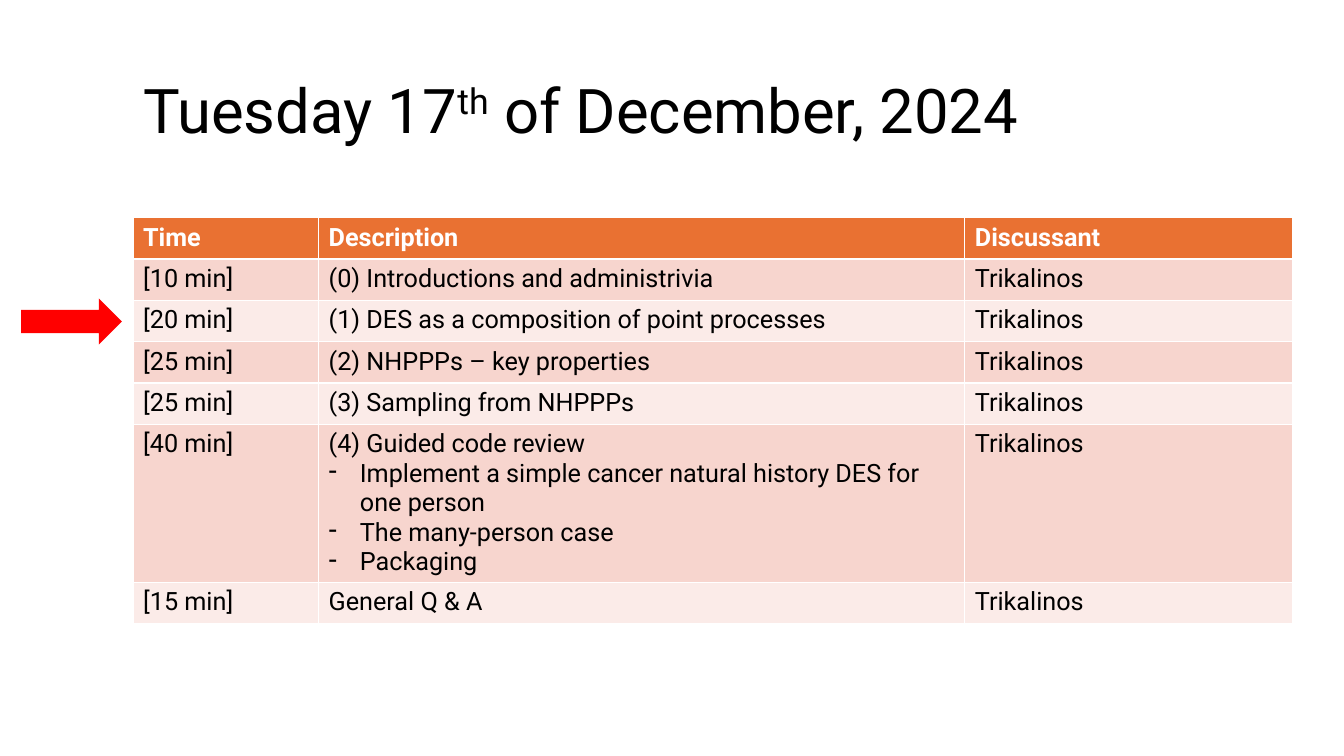
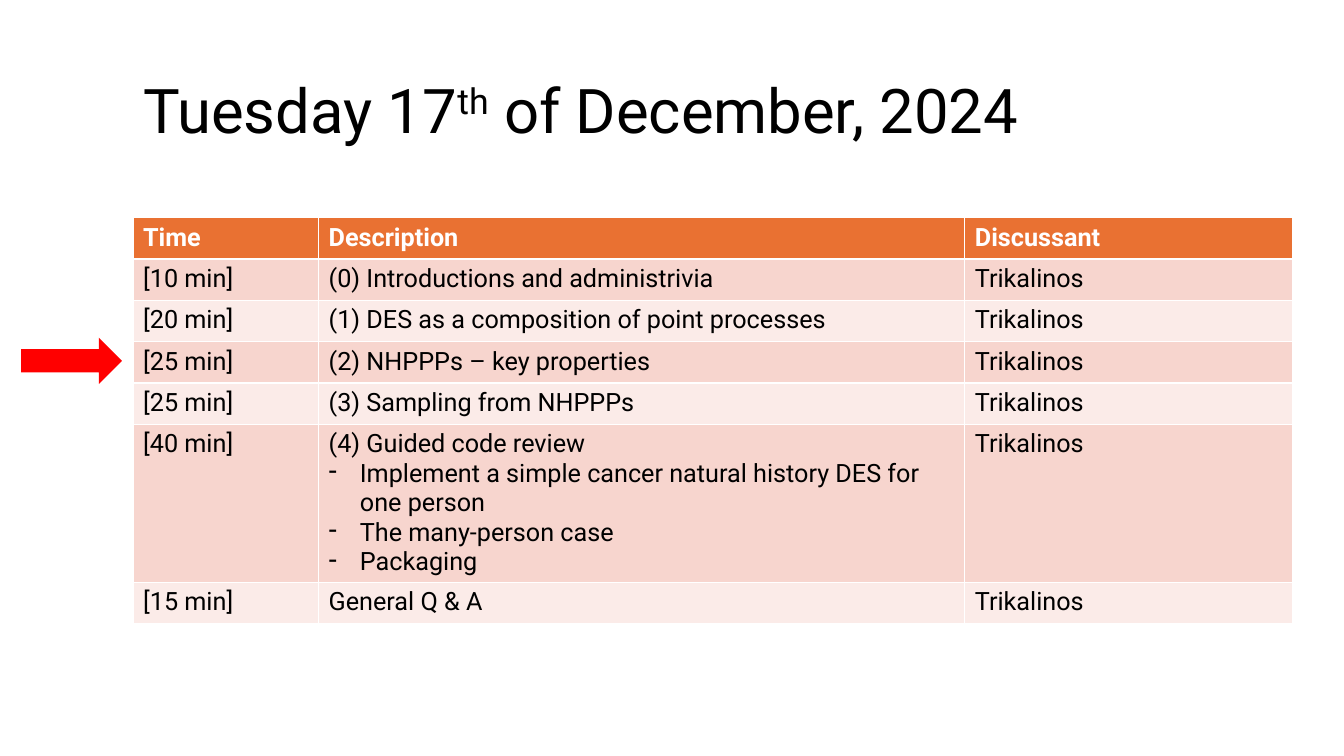
from dataclasses import dataclass

from lxml import etree
from pptx import Presentation
from pptx import util as u
from pptx.dml.color import RGBColor
from pptx.enum import shapes, text
from pptx.oxml.ns import qn


@dataclass(frozen=True)
class Theme:
    font: str = "Roboto"
    title_size: int = 44
    table_size: int = 18
    ink: RGBColor = RGBColor.from_string("000000")
    header_ink: RGBColor = RGBColor.from_string("FFFFFF")
    header_fill: RGBColor = RGBColor.from_string("E97132")
    band_fills: tuple = (RGBColor.from_string("F7D5CE"), RGBColor.from_string("FBEBE8"))
    marker: RGBColor = RGBColor.from_string("FF0000")


THEME = Theme()
PX = u.Inches(1) // 100  # 100 px to the inch

TITLE_PARTS = [("Tuesday 17", False), ("th", True), (" of December, 2024", False)]
DISCUSSANT = "Trikalinos"
HEADER = ("Time", "Description", "Discussant")
# Lines after the first in a description are dashed sub-items.
SESSIONS = [
    ("[10 min]", "(0) Introductions and administrivia"),
    ("[20 min]", "(1) DES as a composition of point processes"),
    ("[25 min]", "(2) NHPPPs – key properties"),
    ("[25 min]", "(3) Sampling from NHPPPs"),
    ("[40 min]", "(4) Guided code review\n"
                 "Implement a simple cancer natural history DES for one person\n"
                 "The many-person case\n"
                 "Packaging"),
    ("[15 min]", "General Q & A"),
]
AGENDA = [HEADER] + [(*session, DISCUSSANT) for session in SESSIONS]
COLUMN_WIDTHS = (184, 641, 325)
ROW_HEIGHT = 41
MARKER_TOPS = (296, 335)  # one slide for each marked session


def style(paragraph, size, color, bold=False):
    font = paragraph.font
    font.name, font.size, font.bold = THEME.font, u.Pt(size), bold
    font.color.rgb = color


def add_dash(paragraph):
    """Give the paragraph a hanging dash bullet."""
    props = paragraph._p.get_or_add_pPr()
    props.set("marL", str(31 * PX))
    props.set("indent", str(-31 * PX))
    etree.SubElement(props, qn("a:buFontTx"))
    etree.SubElement(props, qn("a:buChar")).set("char", "-")


prs = Presentation()
prs.slide_width, prs.slide_height = 1333 * PX, 750 * PX
title_only = prs.slide_layouts[5]

for marker_top in MARKER_TOPS:
    slide = prs.slides.add_slide(title_only)

    title = slide.shapes.title
    title.left, title.top, title.width, title.height = 132 * PX, 40 * PX, 1109 * PX, 145 * PX
    title.text_frame.vertical_anchor = text.MSO_ANCHOR.MIDDLE
    heading = title.text_frame.paragraphs[0]
    heading.alignment = text.PP_ALIGN.LEFT
    heading.line_spacing = 0.9
    style(heading, THEME.title_size, THEME.ink)
    for words, raised in TITLE_PARTS:
        run = heading.add_run()
        run.text = words
        if raised:
            run._r.get_or_add_rPr().set("baseline", "30000")

    agenda = slide.shapes.add_table(
        len(AGENDA), len(HEADER), 132 * PX, 216 * PX,
        sum(COLUMN_WIDTHS) * PX, len(AGENDA) * ROW_HEIGHT * PX).table
    for column, width in zip(agenda.columns, COLUMN_WIDTHS):
        column.width = width * PX
    for row, entries in enumerate(AGENDA):
        is_header = row == 0
        fill = THEME.header_fill if is_header else THEME.band_fills[(row - 1) % 2]
        ink = THEME.header_ink if is_header else THEME.ink
        for column, entry in enumerate(entries):
            cell = agenda.cell(row, column)
            cell.fill.solid()
            cell.fill.fore_color.rgb = fill
            cell.text = entry
            for line, paragraph in enumerate(cell.text_frame.paragraphs):
                if line > 0:
                    add_dash(paragraph)
                style(paragraph, THEME.table_size, ink, bold=is_header)

    marker = slide.shapes.add_shape(
        shapes.MSO_SHAPE.RIGHT_ARROW, 21 * PX, marker_top * PX, 100 * PX, 46 * PX)
    marker.shadow.inherit = False
    marker.fill.solid()
    marker.fill.fore_color.rgb = THEME.marker
    marker.line.fill.background()

prs.save("out.pptx")
